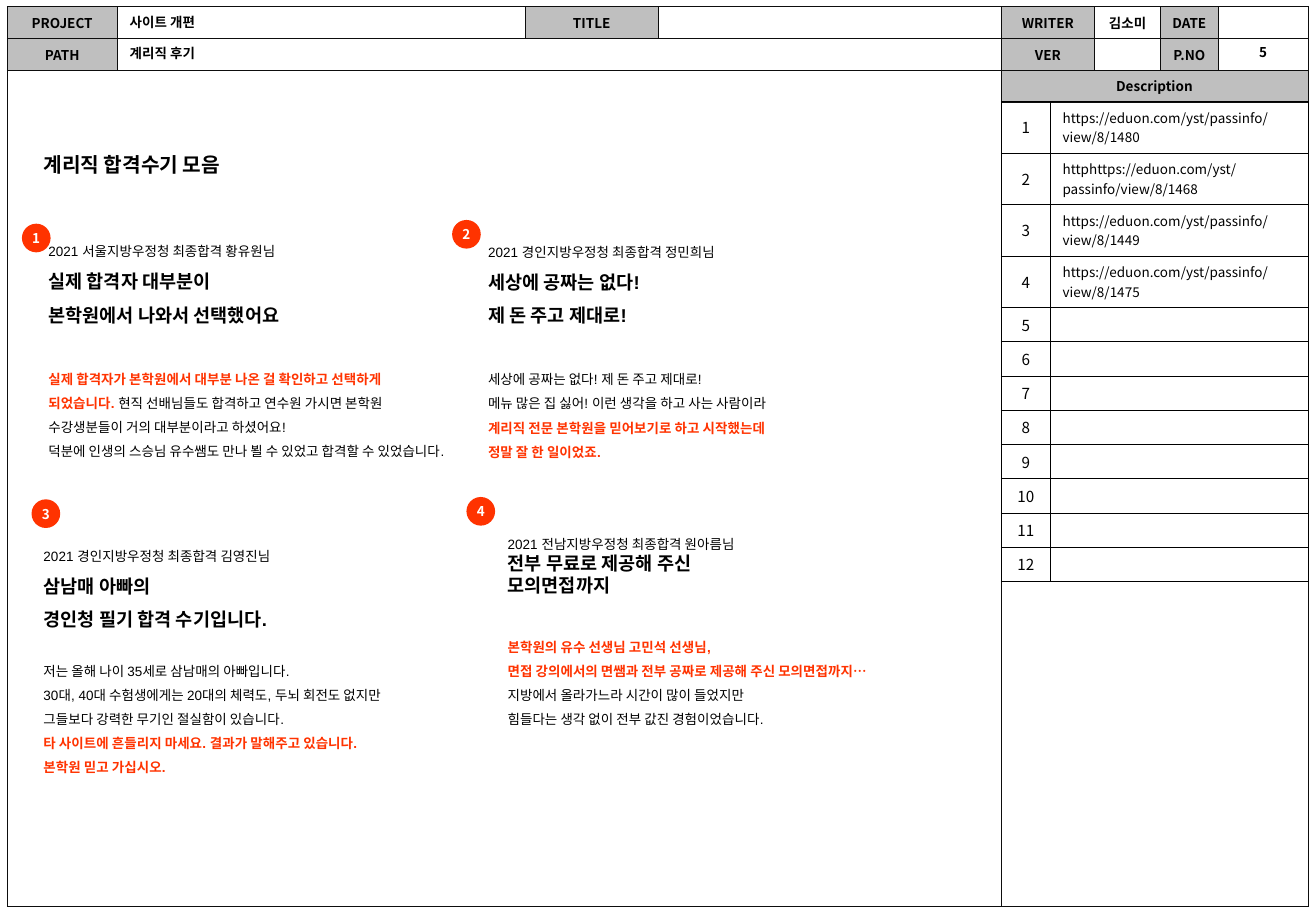
from lxml import etree
from pptx import Presentation
from pptx import util as u
from pptx.dml.color import RGBColor
from pptx.enum import shapes, text
from pptx.oxml import ns

BLACK = RGBColor(0x00, 0x00, 0x00)
WHITE = RGBColor(0xFF, 0xFF, 0xFF)
GREY = RGBColor(0xBF, 0xBF, 0xBF)
RED = RGBColor(0xFF, 0x33, 0x00)
NOTO = "Noto Sans CJK KR"
ARIAL = "Arial"
CENTER = text.PP_ALIGN.CENTER


def style(run, size, color=BLACK, bold=False, latin=NOTO):
    run.font.size = u.Pt(size)
    run.font.bold = bold
    run.font.color.rgb = color
    run.font.name = latin
    etree.SubElement(run.font._element, ns.qn("a:ea"), typeface=NOTO)


def fill_cell(cell, words, size, bold, align, fill, line, side_inset):
    cell.vertical_anchor = text.MSO_ANCHOR.MIDDLE
    cell.margin_left = cell.margin_right = u.Pt(side_inset)
    cell.margin_top = cell.margin_bottom = u.Pt(3.6)
    cell_props = cell._tc.get_or_add_tcPr()
    for side in ("lnL", "lnR", "lnT", "lnB"):
        border = etree.SubElement(cell_props, ns.qn(f"a:{side}"), w=str(u.Pt(0.25)))
        paint = etree.SubElement(border, ns.qn("a:solidFill"))
        etree.SubElement(paint, ns.qn("a:srgbClr"), val=line)
    if fill is None:
        cell.fill.background()
    else:
        cell.fill.solid()
        cell.fill.fore_color.rgb = fill
    paragraph = cell.text_frame.paragraphs[0]
    paragraph.alignment = align
    if words:
        paragraph.text = words
        style(paragraph.runs[0], size, bold=bold)
    else:
        paragraph._p.get_or_add_endParaRPr().set("sz", str(size * 100))


prs = Presentation()
prs.slide_width, prs.slide_height = u.Pt(780), u.Pt(540)
slide = prs.slides.add_slide(prs.slide_layouts[6])

header_labels = {
    (0, 0): "PROJECT", (0, 2): "TITLE", (0, 4): "WRITER", (0, 5): "김소미",
    (0, 6): "DATE", (1, 0): "PATH", (1, 4): "VER", (1, 6): "P.NO",
    (2, 4): "Description",
}
header_widths = [65.4, 241.8, 78.8, 203.3, 55.4, 39.1, 34.1, 53.2]
header_heights = [18.9, 18.9, 18.9, 477]
frame = slide.shapes.add_table(
    4, 8, u.Pt(4.2), u.Pt(3.7), u.Pt(771.1), u.Pt(533.7)).table

description_widths = [29.2, 152.6]
description_heights = [30.4] * 4 + [20.27] * 8
urls = [
    "https://eduon.com/yst/passinfo/view/8/1480",
    "httphttps://eduon.com/yst/passinfo/view/8/1468",
    "https://eduon.com/yst/passinfo/view/8/1449",
    "https://eduon.com/yst/passinfo/view/8/1475",
]
description = slide.shapes.add_table(
    12, 2, u.Pt(593.4), u.Pt(60.1), u.Pt(181.8), u.Pt(283.76)).table

for grid, widths, heights in ((frame, header_widths, header_heights),
                              (description, description_widths, description_heights)):
    grid.first_row = grid.horz_banding = False
    for column, width in zip(grid.columns, widths):
        column.width = u.Pt(width)
    for row, height in zip(grid.rows, heights):
        row.height = u.Pt(height)

for row in range(4):
    for col in range(8):
        label = header_labels.get((row, col), "")
        fill = GREY if label and label != "김소미" else None
        fill_cell(frame.cell(row, col), label, 8, True, CENTER, fill, "0D0D0D", 0)
for first, last in (((1, 1), (1, 3)), ((2, 0), (3, 3)),
                    ((2, 4), (2, 7)), ((3, 4), (3, 7))):
    frame.cell(*first).merge(frame.cell(*last))

for row in range(12):
    url = urls[row] if row < len(urls) else ""
    fill_cell(description.cell(row, 0), str(row + 1), 9, False, CENTER, None, "000000", 7.2)
    fill_cell(description.cell(row, 1), url, 8, False, text.PP_ALIGN.LEFT, None, "000000", 7.2)

for left, top, width, words, align in (
        (721.4, 22.3, 54.7, "5", CENTER),
        (69.8, 5, 229.7, "사이트 개편", text.PP_ALIGN.LEFT),
        (69.8, 23, 518.4, "계리직 후기", text.PP_ALIGN.LEFT)):
    field = slide.shapes.add_textbox(u.Pt(left), u.Pt(top), u.Pt(width), u.Pt(17.3)).text_frame
    field.word_wrap = True
    field.text = words
    field.paragraphs[0].alignment = align
    style(field.paragraphs[0].runs[0], 8, bold=True)

PLAIN, HEAD, ACCENT = (8, BLACK, False), (11, BLACK, True), (8, RED, True)
TITLE = (12, BLACK, True)
stories = [
    (18.7, 79.2, 249, 26, 22, 22, 0, [
        [("계리직 합격수기 모음", TITLE)]]),
    (21.6, 136.1, 249, 154, 14.3, 19.6, 22, [
        [("2021 서울지방우정청 최종합격 황유원님", PLAIN)],
        [("실제 합격자 대부분이", HEAD)],
        [("본학원에서 나와서 선택했어요", HEAD)],
        [("실제 합격자가 본학원에서 대부분 나온 걸 확인하고 선택하게 되었습니다. ", ACCENT),
         ("현직 선배님들도 합격하고 연수원 가시면 본학원 수강생분들이 거의 대부분이라고 하셨어요!", PLAIN)],
        [("덕분에 인생의 스승님 유수쌤도 만나 뵐 수 있었고 합격할 수 있었습니다.", PLAIN)]]),
    (282.2, 136.4, 249, 140, 14.3, 19.6, 22, [
        [("2021 경인지방우정청 최종합격 정민희님", PLAIN)],
        [("세상에 공짜는 없다!", HEAD)],
        [("제 돈 주고 제대로!", HEAD)],
        [("세상에 공짜는 없다! 제 돈 주고 제대로!", PLAIN)],
        [("메뉴 많은 집 싫어! 이런 생각을 하고 사는 사람이라", PLAIN)],
        [("계리직 전문 본학원을 믿어보기로 하고 시작했는데", ACCENT)],
        [("정말 잘 한 일이었죠.", ACCENT)]]),
    (18.7, 316.8, 255, 147, 14.3, 19.6, 14.5, [
        [("2021 경인지방우정청 최종합격 김영진님", PLAIN)],
        [("삼남매 아빠의", HEAD)],
        [("경인청 필기 합격 수기입니다.", HEAD)],
        [("저는 올해 나이 35세로 삼남매의 아빠입니다.", PLAIN)],
        [("30대, 40대 수험생에게는 20대의 체력도, 두뇌 회전도 없지만", PLAIN)],
        [("그들보다 강력한 무기인 절실함이 있습니다.", PLAIN)],
        [("타 사이트에 흔들리지 마세요. 결과가 말해주고 있습니다.", ACCENT)],
        [("본학원 믿고 가십시오.", ACCENT)]]),
    (293.8, 313.9, 259, 120, 10, 13, 20.5, [
        [("2021 전남지방우정청 최종합격 원아름님", PLAIN)],
        [("전부 무료로 제공해 주신", HEAD)],
        [("모의면접까지", HEAD)],
        [("본학원의 유수 선생님 고민석 선생님,", ACCENT)],
        [("면접 강의에서의 면쌤과 전부 공짜로 제공해 주신 모의면접까지…", ACCENT)],
        [("지방에서 올라가느라 시간이 많이 들었지만", PLAIN)],
        [("힘들다는 생각 없이 전부 값진 경험이었습니다.", PLAIN)]]),
]
for left, top, width, height, intro_pitch, head_pitch, body_gap, lines in stories:
    story = slide.shapes.add_textbox(
        u.Pt(left), u.Pt(top), u.Pt(width), u.Pt(height)).text_frame
    story.word_wrap = True
    for index, pieces in enumerate(lines):
        paragraph = story.add_paragraph() if index else story.paragraphs[0]
        pitch = intro_pitch if index == 0 else head_pitch if index < 3 else 14.3
        paragraph.line_spacing = u.Pt(pitch)
        if index == 3:
            paragraph.space_before = u.Pt(body_gap)
        for words, (size, color, bold) in pieces:
            run = paragraph.add_run()
            run.text = words
            style(run, size, color, bold, ARIAL)

marker_spots = [(13, 132.6), (268, 130.4), (18.7, 296), (276.5, 294.6)]
for number, (left, top) in enumerate(marker_spots, 1):
    marker = slide.shapes.add_shape(
        shapes.MSO_SHAPE.OVAL, u.Pt(left), u.Pt(top), u.Pt(17), u.Pt(17))
    marker.shadow.inherit = False
    marker.fill.solid()
    marker.fill.fore_color.rgb = RED
    marker.line.fill.background()
    badge = marker.text_frame
    badge.margin_left = badge.margin_right = badge.margin_top = badge.margin_bottom = 0
    badge.word_wrap = False
    badge.vertical_anchor = text.MSO_ANCHOR.MIDDLE
    badge.text = str(number)
    badge.paragraphs[0].alignment = CENTER
    style(badge.paragraphs[0].runs[0], 8, WHITE, True)

prs.save("out.pptx")
